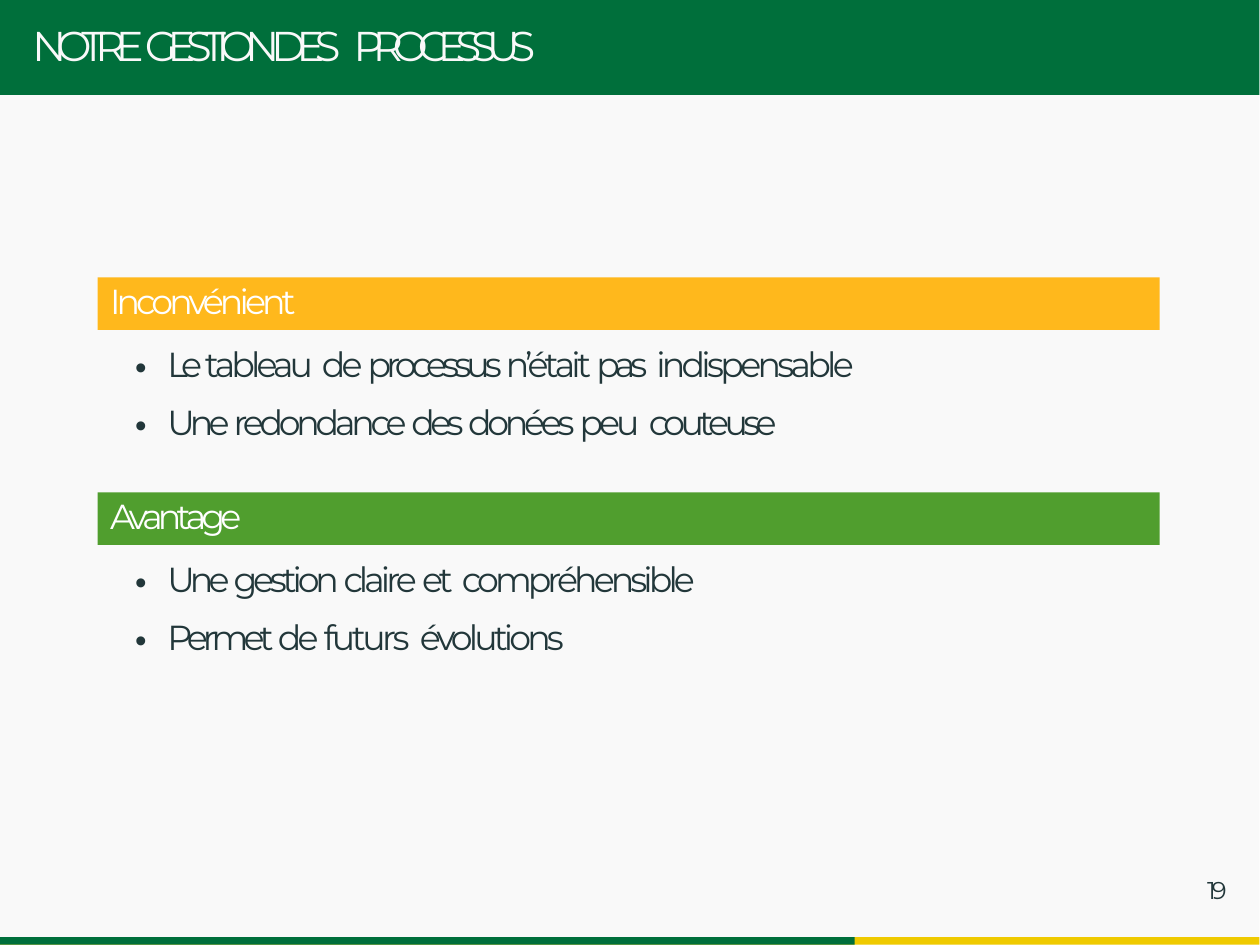
from dataclasses import dataclass

from lxml import etree
from pptx import Presentation
from pptx import util as u
from pptx.dml import color
from pptx.enum import shapes, text
from pptx.oxml import ns

# Grid: one cell is a hundredth of an inch
COLUMNS, ROWS = 504, 378
CELL = u.Inches(0.01)
HEADER_ROWS, FOOTER_ROWS = 38, 3
SECTION_TOP, SECTION_PITCH, LIST_OFFSET = 111, 86, 25

FONT = "Montserrat"
GREEN, PALE, DARK, WHITE, YELLOW = "006F3B", "F9F9F9", "22373A", "FFFFFF", "EFCA00"


@dataclass(frozen=True)
class Box:
    left: int
    top: int
    width: int
    height: int

    def lengths(self) -> list[int]:
        return [cells * CELL for cells in (self.left, self.top, self.width, self.height)]


@dataclass(frozen=True)
class Span:
    text: str
    spacing: float  # letter spacing in points


@dataclass(frozen=True)
class Style:
    size: float
    colour: str
    before: float = 0
    indent: int = 0
    inset: int = 1


@dataclass(frozen=True)
class Section:
    heading: Span
    colour: str
    list_width: int
    items: list[list[Span]]


SECTIONS = [
    Section(Span("Inconvénient", -1.1), "FFB81C", 323, [
        [Span("Le ", -1.8), Span("tableau", -1.1), Span(" ", -0.1), Span("de ", -1.1),
         Span("processus ", -1.4), Span("n’était ", -1.1), Span("pas", -1.4),
         Span(" ", 0), Span("indispensable", -1.05)],
        [Span("Une ", -1.4), Span("redondance ", -1.2), Span("des ", -1.3),
         Span("donées ", -1.2), Span("peu", -1.1), Span(" ", 0.1),
         Span("couteuse", -1.3)],
    ]),
    Section(Span("Avantage", -1.4), "509E2E", 247, [
        [Span("Une ", -1.4), Span("gestion ", -1.2), Span("claire ", -1.1),
         Span("et", -1.2), Span(" ", -0.3), Span("compréhensible", -1.1)],
        [Span("Permet ", -1.4), Span("de ", -1.1), Span("futurs", -1),
         Span(" ", 0.4), Span("évolutions", -1.1)],
    ]),
]


def rgb(value: str) -> color.RGBColor:
    return color.RGBColor.from_string(value)


def add_bar(slide, box: Box, fill: str):
    shape = slide.shapes.add_shape(shapes.MSO_SHAPE.RECTANGLE, *box.lengths())
    shape.shadow.inherit = False
    shape.fill.solid()
    shape.fill.fore_color.rgb = rgb(fill)
    shape.line.fill.background()
    return shape


def prepare_frame(shape, inset: int):
    frame = shape.text_frame
    frame.word_wrap = True
    frame.vertical_anchor = text.MSO_ANCHOR.TOP
    frame.margin_left = frame.margin_right = frame.margin_bottom = 0
    frame.margin_top = inset * CELL
    return frame


def write_paragraph(paragraph, spans: list[Span], style: Style) -> None:
    paragraph.alignment = text.PP_ALIGN.LEFT
    paragraph.space_before = u.Pt(style.before)
    paragraph.font.name = FONT
    paragraph.font.size = u.Pt(style.size)
    paragraph.font.color.rgb = rgb(style.colour)
    paragraph._p.get_or_add_pPr().set("marL", str(style.indent * CELL))
    for span in spans:
        run = paragraph.add_run()
        run.text = span.text
        run._r.get_or_add_rPr().set("spc", str(round(span.spacing * 100)))


def add_bullet(paragraph, hanging: int, colour: str) -> None:
    properties = paragraph._p.get_or_add_pPr()
    properties.set("indent", str(-hanging * CELL))
    bullet_colour = etree.Element(ns.qn("a:buClr"))
    etree.SubElement(bullet_colour, ns.qn("a:srgbClr"), val=colour)
    parts = [
        bullet_colour,
        etree.Element(ns.qn("a:buSzPct"), val="170000"),
        etree.Element(ns.qn("a:buFont"), typeface=FONT),
        etree.Element(ns.qn("a:buChar"), char="•"),
    ]
    font_defaults = properties.find(ns.qn("a:defRPr"))
    for part in parts:
        font_defaults.addprevious(part)


def add_label(slide, box: Box, spans: list[Span], style: Style) -> None:
    shape = slide.shapes.add_textbox(*box.lengths())
    frame = prepare_frame(shape, style.inset)
    write_paragraph(frame.paragraphs[0], spans, style)


def add_section(slide, section: Section, top: int) -> None:
    # Heading bar
    bar = add_bar(slide, Box(39, top, 425, 21), section.colour)
    heading = Style(10, WHITE, before=0.6, indent=5)
    frame = prepare_frame(bar, heading.inset)
    write_paragraph(frame.paragraphs[0], [section.heading], heading)

    # Bulleted list
    box = Box(52, top + LIST_OFFSET, section.list_width, 45)
    frame = prepare_frame(slide.shapes.add_textbox(*box.lengths()), 1)
    for index, spans in enumerate(section.items):
        paragraph = frame.add_paragraph() if index else frame.paragraphs[0]
        style = Style(10, DARK, before=4.8 if index else 0.9, indent=15)
        write_paragraph(paragraph, spans, style)
        add_bullet(paragraph, 14, DARK)


presentation = Presentation()
presentation.slide_width = u.Pt(363)
presentation.slide_height = u.Pt(272.5)
slide = presentation.slides.add_slide(presentation.slide_layouts[6])

# Page body and header
add_bar(slide, Box(0, HEADER_ROWS, COLUMNS, ROWS - HEADER_ROWS), PALE)
add_bar(slide, Box(0, 0, COLUMNS, HEADER_ROWS), GREEN)
title = [Span("NOTRE ", -2.8), Span("GESTION DES", -2.7), Span(" ", 0.5),
         Span("PROCESSUS", -2.9)]
add_label(slide, Box(12, 7, 225, 23), title, Style(12, PALE, before=0.9, indent=1))

# Sections
for number, section in enumerate(SECTIONS):
    add_section(slide, section, SECTION_TOP + number * SECTION_PITCH)

# Progress strip and page number
for columns, fill in ((COLUMNS, YELLOW), (342, GREEN)):
    add_bar(slide, Box(0, ROWS - FOOTER_ROWS, columns, FOOTER_ROWS), fill)
page_style = Style(7, DARK, before=1.4, indent=4, inset=2)
add_label(slide, Box(479, 348, 18, 17), [Span("19", -1.1)], page_style)

presentation.save("out.pptx")
